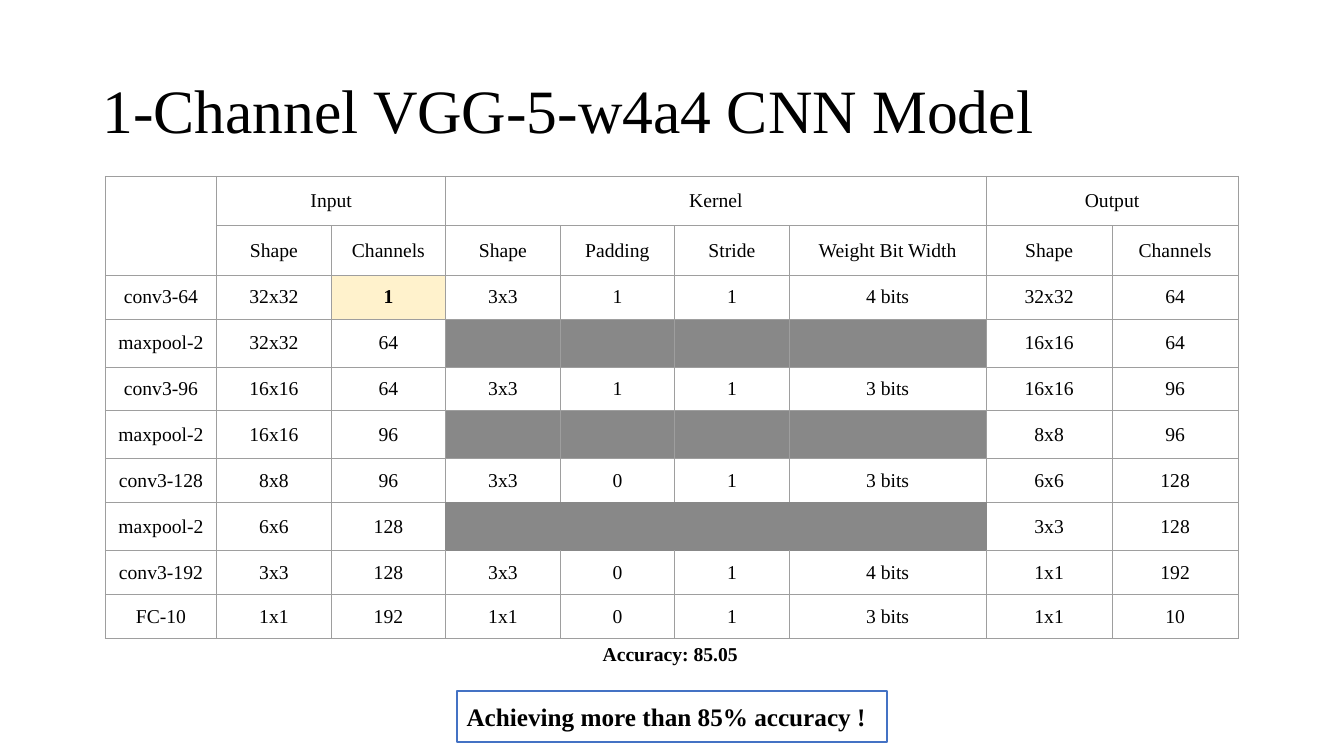
from dataclasses import dataclass

from lxml.etree import SubElement
from pptx import Presentation
from pptx.dml.color import RGBColor
from pptx.enum.shapes import MSO_SHAPE
from pptx.enum.text import MSO_ANCHOR, PP_ALIGN
from pptx.oxml.ns import qn
from pptx.util import Pt


@dataclass(frozen=True)
class Theme:
    font: str = "Times New Roman"
    text: str = "000000"
    grid: str = "9E9E9E"
    unused: str = "888888"
    highlight: str = "FFF2CC"
    accent: str = "4472C4"
    title_size: float = 44
    table_size: float = 14
    callout_size: float = 18
    grid_width: float = 0.75


THEME = Theme()

# Table content: None marks a kernel value that does not apply
GROUPS = [("Input", 1, 2), ("Kernel", 3, 6), ("Output", 7, 8)]
HEADINGS = ["", "Shape", "Channels", "Shape", "Padding", "Stride",
            "Weight Bit Width", "Shape", "Channels"]
NO_KERNEL = [None] * 4
LAYERS = [
    ["conv3-64", "32x32", "1", "3x3", "1", "1", "4 bits", "32x32", "64"],
    ["maxpool-2", "32x32", "64", *NO_KERNEL, "16x16", "64"],
    ["conv3-96", "16x16", "64", "3x3", "1", "1", "3 bits", "16x16", "96"],
    ["maxpool-2", "16x16", "96", *NO_KERNEL, "8x8", "96"],
    ["conv3-128", "8x8", "96", "3x3", "0", "1", "3 bits", "6x6", "128"],
    ["maxpool-2", "6x6", "128", *NO_KERNEL, "3x3", "128"],
    ["conv3-192", "3x3", "128", "3x3", "0", "1", "4 bits", "1x1", "192"],
    ["FC-10", "1x1", "192", "1x1", "0", "1", "3 bits", "1x1", "10"],
]
COLUMN_WIDTHS = [79.6] + [81.8] * 5 + [140.7, 90, 90]
HEADER_HEIGHT, LAYER_HEIGHT, POOL_HEIGHT = 35.3, 31.4, 34.2
HIGHLIGHT_CELL = (2, 2)
SEAMLESS_CELLS = {(7, column) for column in range(3, 7)}
SIDES = {"a:lnL": (0, -1), "a:lnR": (0, 1), "a:lnT": (-1, 0), "a:lnB": (1, 0)}


def apply(target, values):
    for name, value in values.items():
        setattr(target, name, value)


def margins(side, edge):
    return {"margin_left": Pt(side), "margin_right": Pt(side),
            "margin_top": Pt(edge), "margin_bottom": Pt(edge)}


def write(frame, text, size, bold=False, align=PP_ALIGN.LEFT):
    para = frame.paragraphs[0]
    para.alignment = align
    span = para.add_run()
    span.text = text
    apply(span.font, {"name": THEME.font, "size": Pt(size), "bold": bold})
    span.font.color.rgb = RGBColor.from_string(THEME.text)
    return para


def add_text(page, box, text, size, bold=False, edge=7.2,
             anchor=MSO_ANCHOR.TOP):
    frame = page.shapes.add_textbox(*map(Pt, box)).text_frame
    apply(frame, {"word_wrap": True, "vertical_anchor": anchor,
                  **margins(7.2, edge)})
    return write(frame, text, size, bold)


def add_title(page, box):
    para = add_text(page, box, "1-Channel VGG-5-w4a4 CNN Model",
                    THEME.title_size, edge=3.6, anchor=MSO_ANCHOR.MIDDLE)
    para.line_spacing = 0.9


def draw_borders(cell, row, column):
    # A side that touches the seamless block takes the block's colour
    properties = cell._tc.get_or_add_tcPr()
    for tag, (down, right) in SIDES.items():
        touching = {(row, column), (row + down, column + right)}
        color = THEME.unused if touching & SEAMLESS_CELLS else THEME.grid
        line = SubElement(properties, qn(tag), w=str(Pt(THEME.grid_width)))
        fill = SubElement(line, qn("a:solidFill"))
        SubElement(fill, qn("a:srgbClr"), val=color)


def fill_cell(cell, row, column, text):
    draw_borders(cell, row, column)
    highlighted = (row, column) == HIGHLIGHT_CELL
    if text is None or highlighted:
        cell.fill.solid()
        color = THEME.highlight if highlighted else THEME.unused
        cell.fill.fore_color.rgb = RGBColor.from_string(color)
    else:
        cell.fill.background()
    inset = 7.2 if text else 0
    apply(cell, {"vertical_anchor": MSO_ANCHOR.MIDDLE, **margins(inset, inset)})
    if text:
        write(cell.text_frame, text, THEME.table_size, highlighted,
              PP_ALIGN.CENTER)


def add_layer_table(page, left, top):
    group_row = [""] * len(HEADINGS)
    for name, first, _ in GROUPS:
        group_row[first] = name
    rows = [group_row, HEADINGS, *LAYERS]
    heights = [HEADER_HEIGHT] * 2 + [
        POOL_HEIGHT if None in layer else LAYER_HEIGHT for layer in LAYERS]
    table = page.shapes.add_table(
        len(rows), len(HEADINGS), Pt(left), Pt(top),
        Pt(sum(COLUMN_WIDTHS)), Pt(sum(heights))).table
    apply(table, {"first_row": False, "horz_banding": False})
    for column, width in zip(table.columns, COLUMN_WIDTHS):
        column.width = Pt(width)
    for row, height in zip(table.rows, heights):
        row.height = Pt(height)

    # Group headings and the empty corner
    table.cell(0, 0).merge(table.cell(1, 0))
    for _, first, last in GROUPS:
        table.cell(0, first).merge(table.cell(0, last))
    for row, values in enumerate(rows):
        for column, text in enumerate(values):
            fill_cell(table.cell(row, column), row, column, text)


def add_callout(page, box):
    shape = page.shapes.add_shape(MSO_SHAPE.RECTANGLE, *map(Pt, box))
    shape.shadow.inherit = False
    shape.fill.background()
    shape.line.color.rgb = RGBColor.from_string(THEME.accent)
    shape.line.width = Pt(1.5)
    apply(shape.text_frame, {"word_wrap": True, **margins(7.2, 7.2),
                             "vertical_anchor": MSO_ANCHOR.MIDDLE})
    write(shape.text_frame, "Achieving more than 85% accuracy !",
          THEME.callout_size, bold=True)


def main():
    deck = Presentation()
    apply(deck, {"slide_width": Pt(960), "slide_height": Pt(540)})
    page = deck.slides.add_slide(deck.slide_layouts[6])
    add_title(page, (66, 28.8, 828, 104.4))
    add_layer_table(page, 75.2, 126)
    add_text(page, (423.4, 451.5, 113.5, 31.5), "Accuracy: 85.05",
             THEME.table_size, bold=True)
    add_callout(page, (326.2, 493.8, 307.4, 36.2))
    deck.save("out.pptx")


if __name__ == "__main__":
    main()
